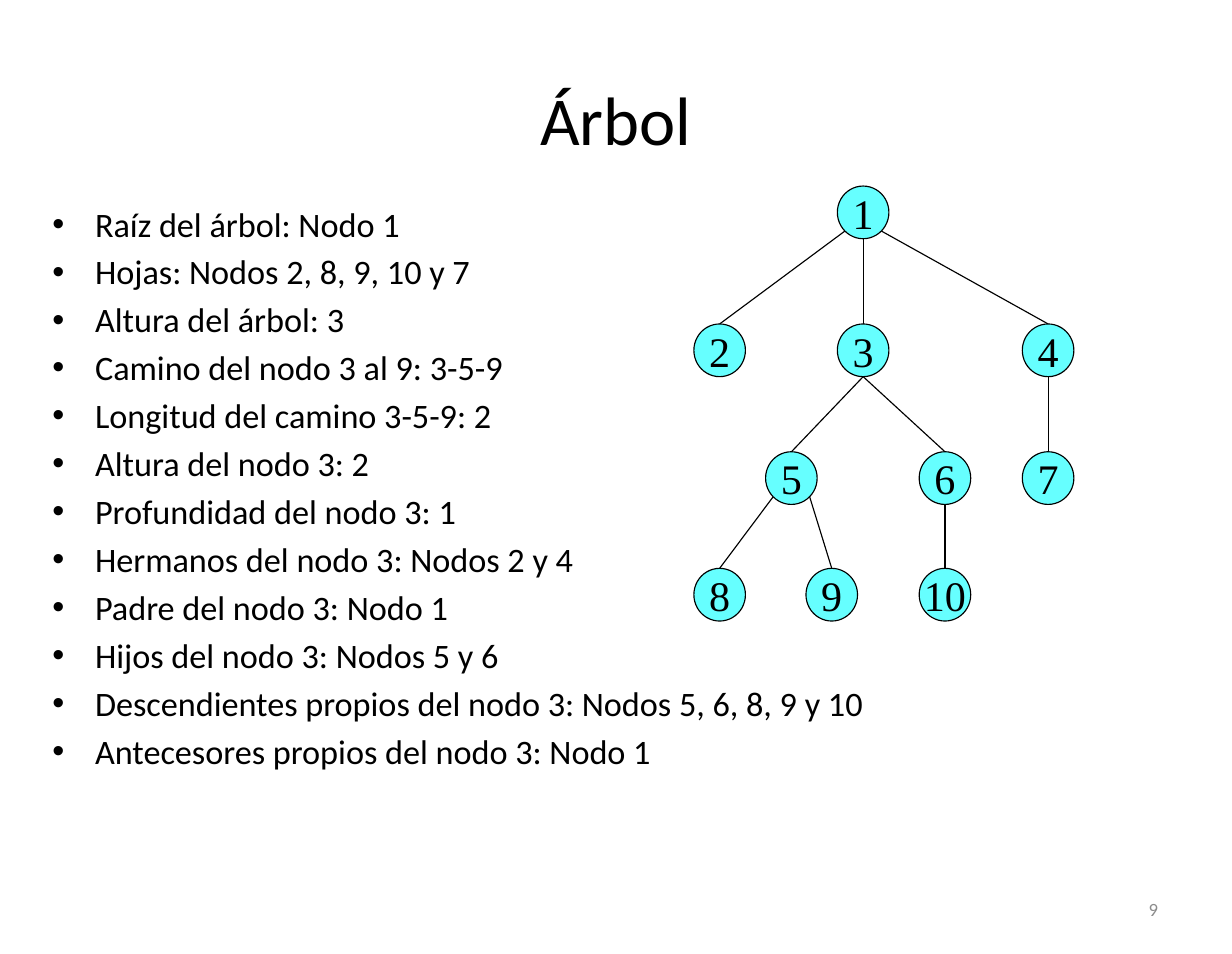
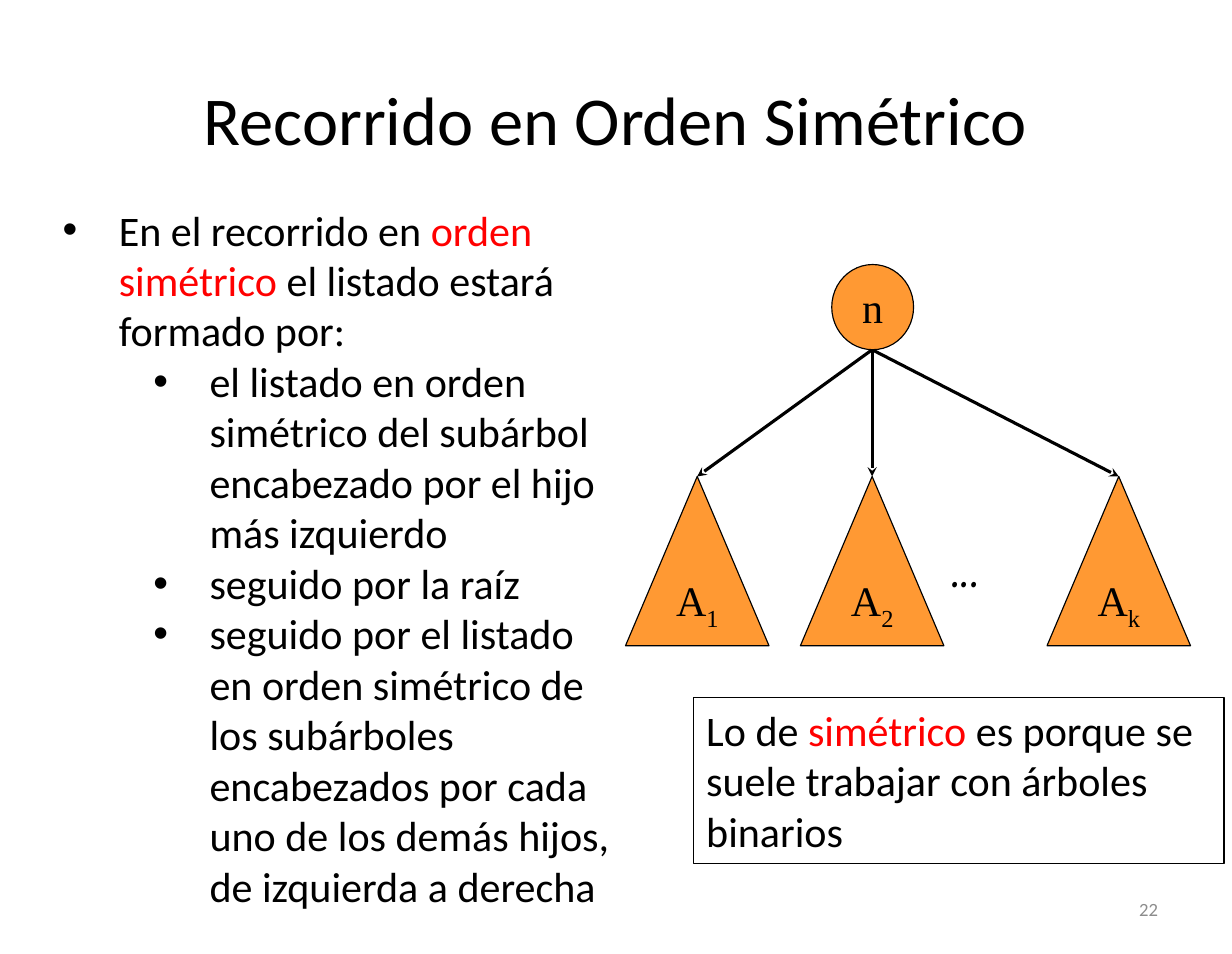
from math import sqrt

from lxml.etree import SubElement
from pptx import Presentation
from pptx.dml.color import RGBColor
from pptx.enum.shapes import MSO_CONNECTOR as CONN, MSO_SHAPE as SHAPE
from pptx.enum.text import MSO_ANCHOR as ANCHOR, PP_ALIGN as ALIGN
from pptx.oxml.ns import qn
from pptx.util import Inches, Pt

COLORS = {
    "black": "000000",
    "red": "FF0000",
    "gray": "8C8C8C",
    "cyan": "66FFFF",
    "orange": "FF9933",
}
SANS, SERIF = "Calibri", "Times New Roman"
WIDE_INSET = (0.11, 0.06)


def rgb(name):
    return RGBColor.from_string(COLORS[name])


class Deck:
    def __init__(self, width, height):
        self.prs = Presentation()
        self.prs.slide_width = Inches(width)
        self.prs.slide_height = Inches(height)
        self.s = None

    def new_slide(self, title, number):
        self.s = self.prs.slides.add_slide(self.prs.slide_layouts[6])
        self.text((0.55, 0.34, 9.89, 1.42), [[title]], 44,
                  align=ALIGN.CENTER, anchor=ANCHOR.MIDDLE)
        self.text((7.87, 7.88, 2.56, 0.45), [[str(number)]], 12, color="gray",
                  align=ALIGN.RIGHT, anchor=ANCHOR.MIDDLE)

    def fill_text(self, sp, paragraphs, size, font=SANS, color="black",
                  align=ALIGN.LEFT, anchor=ANCHOR.TOP, inset=(0.1, 0.05),
                  wrap=True, indents=None, hang=0, gap=0):
        tf = sp.text_frame
        tf.word_wrap = wrap
        tf.vertical_anchor = anchor
        tf.margin_left = tf.margin_right = Inches(inset[0])
        tf.margin_top = tf.margin_bottom = Inches(inset[1])
        for i, runs in enumerate(paragraphs):
            p = tf.add_paragraph() if i else tf.paragraphs[0]
            p.alignment = align
            if i and gap:
                p.space_before = Pt(gap)
            if indents:
                self.bullet(p, indents[i], hang)
            for run in runs:
                text, style = (run, {}) if isinstance(run, str) else run
                r = p.add_run()
                r.text = text
                r.font.name = font
                r.font.size = Pt(size)
                r.font.color.rgb = rgb(style.get("color", color))
                if "base" in style:
                    r._r.get_or_add_rPr().set("baseline", str(style["base"]))

    def bullet(self, p, left, hang):
        pPr = p._p.get_or_add_pPr()
        pPr.set("marL", str(Inches(left)))
        pPr.set("indent", str(-Inches(hang)))
        SubElement(pPr, qn("a:buFont")).set("typeface", "Arial")
        SubElement(pPr, qn("a:buChar")).set("char", "•")

    def text(self, box, paragraphs, size, **style):
        sp = self.s.shapes.add_textbox(*map(Inches, box))
        self.fill_text(sp, paragraphs, size, **style)

    def shape(self, kind, box, fill=None):
        sp = self.s.shapes.add_shape(kind, *map(Inches, box))
        sp.shadow.inherit = False
        if fill:
            sp.fill.solid()
            sp.fill.fore_color.rgb = rgb(fill)
        else:
            sp.fill.background()
        sp.line.color.rgb = rgb("black")
        sp.line.width = Pt(0.75)
        return sp

    def node(self, kind, box, fill, runs):
        sp = self.shape(kind, box, fill)
        self.fill_text(sp, [runs], 27, font=SERIF, align=ALIGN.CENTER,
                       anchor=ANCHOR.MIDDLE, inset=WIDE_INSET, wrap=False)

    def line(self, start, end, width=0.75, arrow=False):
        c = self.s.shapes.add_connector(CONN.STRAIGHT, *map(Inches, start + end))
        c.line.color.rgb = rgb("black")
        c.line.width = Pt(width)
        if arrow:
            SubElement(c.line._get_or_add_ln(), qn("a:tailEnd")).set("type", "stealth")
        SubElement(c._element.spPr, qn("a:effectLst"))


def tree_slide(deck):
    deck.new_slide("Árbol", 9)
    facts = [
        "Raíz del árbol: Nodo 1",
        "Hojas: Nodos 2, 8, 9, 10 y 7",
        "Altura del árbol: 3",
        "Camino del nodo 3 al 9: 3-5-9",
        "Longitud del camino 3-5-9: 2",
        "Altura del nodo 3: 2",
        "Profundidad del nodo 3: 1",
        "Hermanos del nodo 3: Nodos 2 y 4",
        "Padre del nodo 3: Nodo 1",
        "Hijos del nodo 3: Nodos 5 y 6",
        "Descendientes propios del nodo 3: Nodos 5, 6, 8, 9 y 10",
        "Antecesores propios del nodo 3: Nodo 1",
    ]
    deck.text((0.37, 1.76, 8.5, 6.05), [[fact] for fact in facts], 22,
              indents=[0.38] * len(facts), hang=0.38, gap=4.4)

    w, h = 0.46, 0.47
    levels = [
        (1.66, {1: 7.47}),
        (2.89, {2: 6.19, 3: 7.47, 4: 9.12}),
        (4.03, {5: 6.83, 6: 8.2, 7: 9.12}),
        (5.07, {8: 6.19, 9: 7.19, 10: 8.2}),
    ]
    nodes = {n: (x, y) for y, row in levels for n, x in row.items()}
    edges = [(1, 2, -1), (1, 3, 0), (1, 4, 1), (3, 5, 0), (3, 6, 0),
             (4, 7, 0), (5, 8, -1), (5, 9, 1), (6, 10, 0)]
    for parent, child, side in edges:
        x, y = nodes[parent]
        drop = h / 2 / (sqrt(2) if side else 1)
        start = (x + w / 2 + side * w / 2 / sqrt(2), y + h / 2 + drop)
        deck.line(start, (nodes[child][0] + w / 2, nodes[child][1]))
    for n, (x, y) in nodes.items():
        deck.node(SHAPE.OVAL, (x, y, w, h), "cyan", [str(n)])


def inorder_slide(deck):
    deck.new_slide("Recorrido en Orden Simétrico", 22)
    red = {"color": "red"}
    deck.text((0.45, 1.76, 5.13, 6.47), [
        ["En el recorrido en ", ("orden simétrico", red),
         " el listado estará formado por:"],
        ["el listado en orden simétrico del subárbol encabezado por el hijo "
         "más izquierdo"],
        ["seguido por la raíz"],
        ["seguido por el listado en orden simétrico de los subárboles "
         "encabezados por cada uno de los demás hijos, de izquierda a derecha"],
    ], 27, inset=WIDE_INSET, indents=[0.5, 1.31, 1.31, 1.31], hang=0.5)

    w, h, top = 1.28, 1.51, 4.25
    for x, sub in ((5.58, "1"), (7.14, "2"), (9.34, "k")):
        deck.node(SHAPE.ISOSCELES_TRIANGLE, (x, top, w, h), "orange",
                  ["A", (sub, {"base": -25000})])
        deck.line((7.78, 3.12), (x + w / 2, top), 2, arrow=True)
    deck.node(SHAPE.OVAL, (7.42, 2.36, 0.73, 0.76), "orange", ["n"])
    deck.text((8.38, 4.64, 0.63, 0.8), [["..."]], 40, font="Comic Neue")

    note = deck.shape(SHAPE.RECTANGLE, (6.19, 6.22, 4.73, 1.48))
    deck.fill_text(note, [["Lo de ", ("simétrico ", red),
                           "es porque se suele trabajar con árboles binarios"]],
                   27, inset=WIDE_INSET)


def main():
    deck = Deck(10.99, 8.51)
    tree_slide(deck)
    inorder_slide(deck)
    deck.prs.save("out.pptx")


if __name__ == "__main__":
    main()
